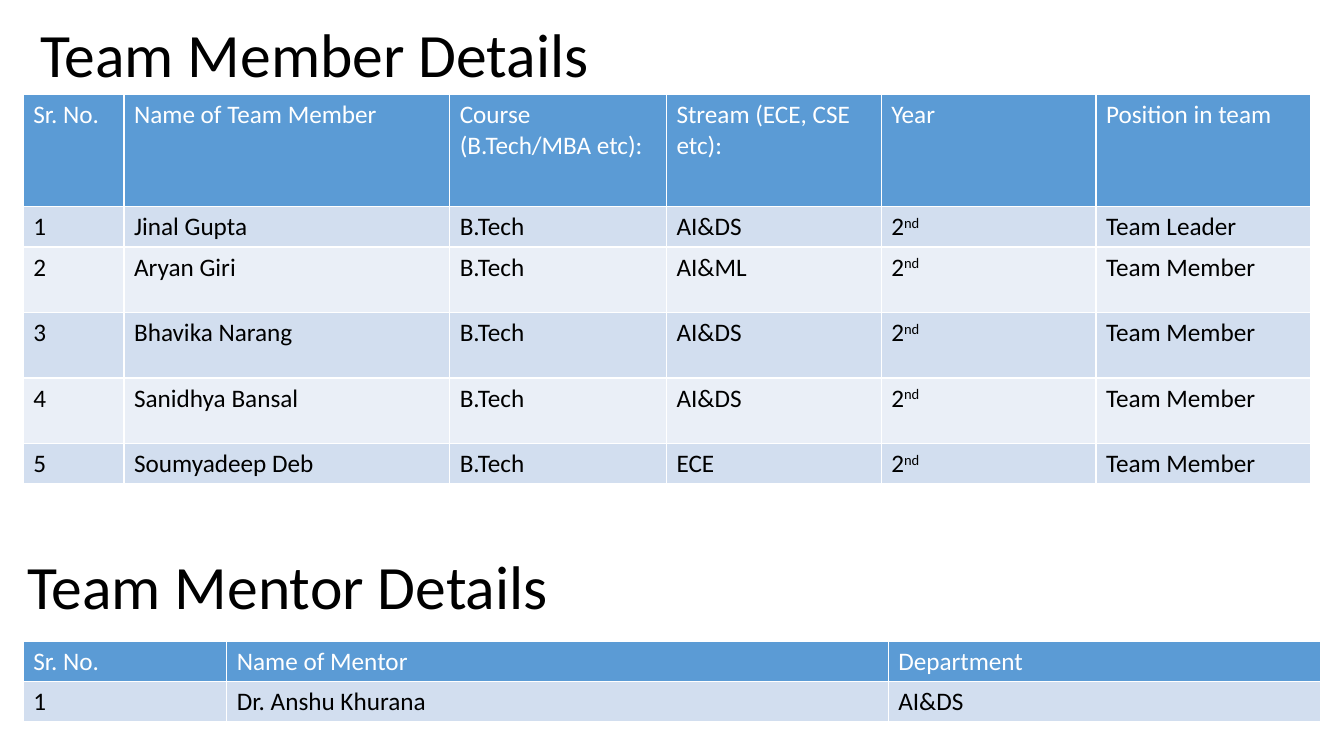
from pptx import Presentation
from pptx.dml.color import RGBColor
from pptx.enum import text
from pptx.util import Inches, Pt

COLOURS = {"ink": "000000", "paper": "FFFFFF", "header": "5B9BD5",
           "odd": "D2DEEF", "even": "EAEFF7"}
FONT = "Calibri"

MEMBER_HEADER = ["Sr. No.", "Name of Team Member", "Course (B.Tech/MBA etc):",
                 "Stream (ECE, CSE etc):", "Year", "Position in team"]
MEMBERS = [("Jinal Gupta", "AI&DS", "Team Leader"),
           ("Aryan Giri", "AI&ML", "Team Member"),
           ("Bhavika Narang", "AI&DS", "Team Member"),
           ("Sanidhya Bansal", "AI&DS", "Team Member"),
           ("Soumyadeep Deb", "ECE", "Team Member")]
YEAR = ("2", "nd")
MENTOR_ROWS = [["Sr. No.", "Name of Mentor", "Department"],
               ["1", "Dr. Anshu Khurana", "AI&DS"]]


def colour(name):
    return RGBColor.from_string(COLOURS[name])


def style_font(para, size, name):
    para.font.name = FONT
    para.font.size = Pt(size)
    para.font.bold = False
    para.font.color.rgb = colour(name)


def add_heading(page, words, left, top, width):
    box = page.shapes.add_textbox(Inches(left), Inches(top), Inches(width), Inches(0.77))
    frame = box.text_frame
    frame.word_wrap = False
    frame.auto_size = text.MSO_AUTO_SIZE.SHAPE_TO_FIT_TEXT
    para = frame.paragraphs[0]
    para.text = words
    para.line_spacing = 0.9
    style_font(para, 44, "ink")


def fill_cell(cell, content, row_number):
    para = cell.text_frame.paragraphs[0]
    if isinstance(content, tuple):
        number, suffix = content
        para.add_run().text = number
        span = para.add_run()
        span.text = suffix
        span._r.get_or_add_rPr().set("baseline", "30000")
    else:
        para.text = content
    is_header = row_number == 0
    style_font(para, 18, "paper" if is_header else "ink")
    band = "header" if is_header else "odd" if row_number % 2 else "even"
    cell.fill.solid()
    cell.fill.fore_color.rgb = colour(band)


def add_details_table(page, left, top, widths, heights, rows):
    frame = page.shapes.add_table(len(rows), len(widths), Inches(left), Inches(top),
                                  Inches(sum(widths)), Inches(sum(heights)))
    table = frame.table
    for column, width in zip(table.columns, widths):
        column.width = Inches(width)
    for row_number, (height, contents) in enumerate(zip(heights, rows)):
        row = table.rows[row_number]
        row.height = Inches(height)
        for cell, content in zip(row.cells, contents):
            fill_cell(cell, content, row_number)


def main():
    deck = Presentation()
    deck.slide_width = Inches(13.33)
    deck.slide_height = Inches(7.5)
    page = deck.slides.add_slide(deck.slide_layouts[6])

    member_rows = [MEMBER_HEADER] + [
        [str(number), name, "B.Tech", stream, YEAR, position]
        for number, (name, stream, position) in enumerate(MEMBERS, 1)]
    add_heading(page, "Team Member Details", 0.3, 0.19, 5.77)
    add_details_table(page, 0.23, 0.94, [1, 3.23, 2.15, 2.13, 2.13, 2.13],
                      [1.11, 0.37, 0.65, 0.65, 0.65, 0.37], member_rows)
    add_heading(page, "Team Mentor Details", 0.17, 5.47, 5.5)
    add_details_table(page, 0.23, 6.36, [2.02, 6.56, 4.29], [0.4, 0.4], MENTOR_ROWS)

    deck.save("out.pptx")


main()
